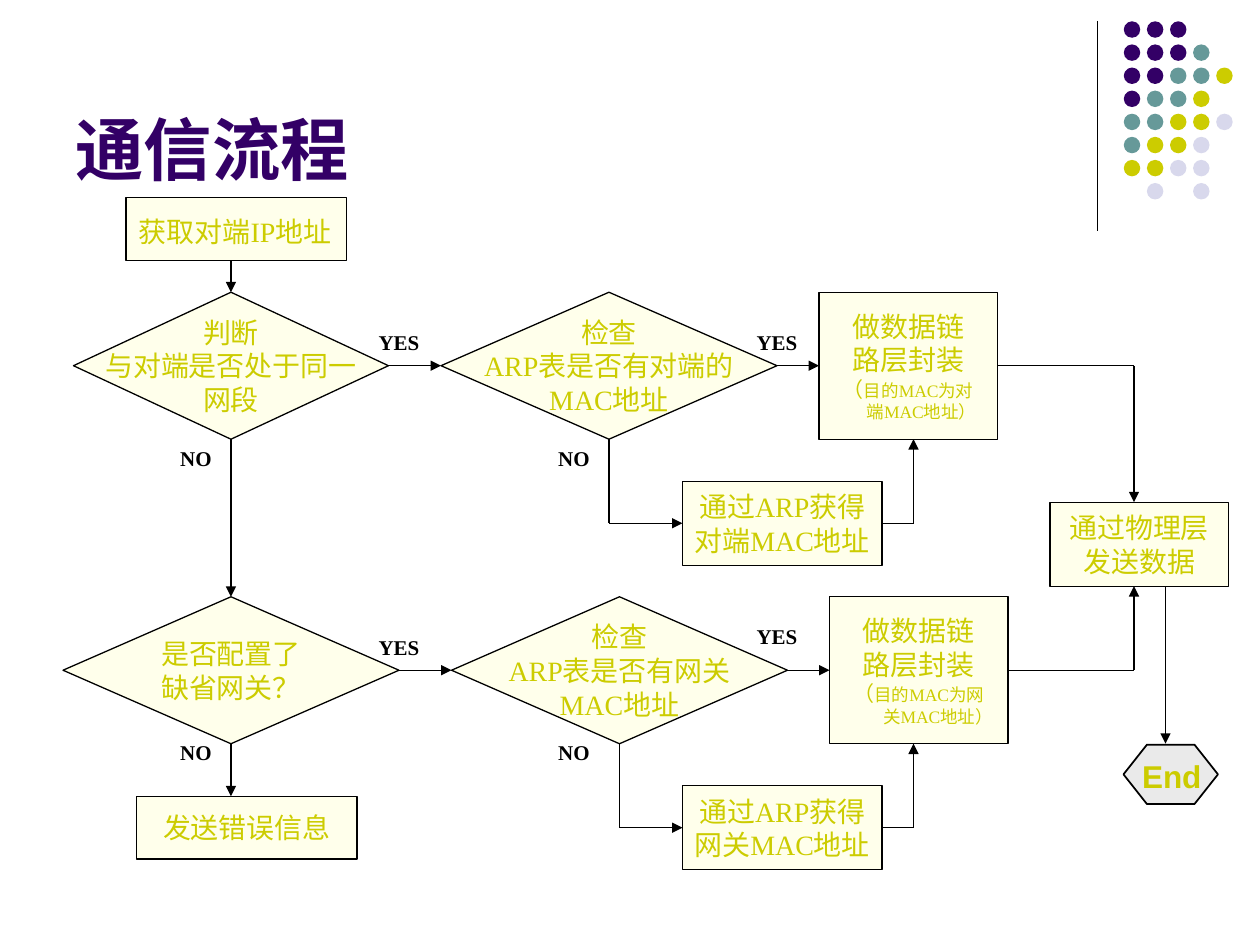
from pptx import Presentation
from pptx.dml.color import RGBColor
from pptx.enum.shapes import MSO_CONNECTOR, MSO_SHAPE as SHAPE
from pptx.enum.text import MSO_ANCHOR as ANCHOR, MSO_AUTO_SIZE as AUTO, PP_ALIGN as ALIGN
from pptx.oxml.ns import qn
from pptx.util import Pt
from lxml.etree import SubElement

COLORS = {"purple": "330066", "teal": "669999", "olive": "CCCC00", "lilac": "D8D8EC",
          "cream": "FFFFEB", "gray": "EAEAEA", "black": "000000"}
SERIF, SANS = "Times New Roman", "Arial"
TITLE = "通信流程"

DOT_ROWS = ["PPP", "PPPT", "PPTTY", "PTTY", "TTYYL", "TYYL", "YYLL", " L L"]
DOT_COLORS = {"P": "purple", "T": "teal", "Y": "olive", "L": "lilac"}
DOT_LEFT, DOT_TOP, DOT_PITCH, DOT_SIZE = 642.2, 12.2, 13.2, 9.4

BOX, CHECK = SHAPE.RECTANGLE, SHAPE.FLOWCHART_DECISION
# name: shape, (left, top, width, height), lines
NODES = {
    "get_ip": (BOX, (72, 113, 126, 36), []),
    "same_net": (CHECK, (42, 167, 180, 84), ["判断", "与对端是否处于同一", "网段"]),
    "peer_known": (CHECK, (252, 167, 192, 84), ["检查", "ARP表是否有对端的", "MAC地址"]),
    "peer_frame": (BOX, (468, 167, 102, 84), ["做数据链", "路层封装"]),
    "peer_arp": (BOX, (390, 275, 114, 48), ["通过ARP获得", "对端MAC地址"]),
    "send": (BOX, (600, 287, 102, 48), ["通过物理层", "发送数据"]),
    "has_gateway": (CHECK, (36, 341, 192, 84), ["是否配置了", "缺省网关？"]),
    "gw_known": (CHECK, (258, 341, 192, 84), ["检查", "ARP表是否有网关", "MAC地址"]),
    "gw_frame": (BOX, (474, 341, 102, 84), ["做数据链", "路层封装"]),
    "gw_arp": (BOX, (390, 449, 114, 48), ["通过ARP获得", "网关MAC地址"]),
    "error": (BOX, (78, 455, 126, 36), ["发送错误信息"]),
}
# name: first line, second line, indent of the second line
NOTES = {"peer_frame": ("目的MAC为对", "端MAC地址）", 15),
         "gw_frame": ("目的MAC为网", "关MAC地址）", 22)}

TOP, LEFT, BOTTOM, RIGHT = range(4)
# each stop is (node, side) or (x, y); the last leg carries the arrowhead
PATHS = [
    [(132, 149), ("same_net", TOP)],
    [("same_net", RIGHT), ("peer_known", LEFT)],
    [("peer_known", RIGHT), ("peer_frame", LEFT)],
    [("same_net", BOTTOM), ("has_gateway", TOP)],
    [("peer_known", BOTTOM), (348, 299), ("peer_arp", LEFT)],
    [("peer_arp", RIGHT), (522, 299), (522, 251)],
    [("peer_frame", RIGHT), (648, 209), (648, 287)],
    [("has_gateway", RIGHT), ("gw_known", LEFT)],
    [("gw_known", RIGHT), ("gw_frame", LEFT)],
    [("has_gateway", BOTTOM), (132, 455)],
    [("gw_known", BOTTOM), (354, 473), ("gw_arp", LEFT)],
    [("gw_arp", RIGHT), (522, 473), (522, 425)],
    [("gw_frame", RIGHT), (648, 383), (648, 335)],
    [(666, 335), (666, 425)],
]
# text, centre x, top
ANSWERS = [("YES", 228, 185), ("YES", 444, 185), ("NO", 112, 251), ("NO", 328, 251),
           ("YES", 228, 359), ("YES", 444, 353), ("NO", 112, 419), ("NO", 328, 419)]
ANSWER_WIDTHS = {"YES": 42, "NO": 34}

BODY = {"size": Pt(16), "name": SERIF}
LABEL = {"size": Pt(12), "name": SERIF, "bold": True}
END = {"size": Pt(18), "name": SANS, "bold": True}
HEAD = {"size": Pt(39), "name": SANS, "bold": True}


def rgb(name):
    return RGBColor.from_string(COLORS[name])


def add_run(p, text, fmt, color):
    r = p.add_run()
    r.text = text
    for key, value in fmt.items():
        setattr(r.font, key, value)
    r.font.color.rgb = rgb(color)


def add_line(tf, text, fmt, color, align=ALIGN.CENTER):
    """Write into the empty first paragraph, or into a new one."""
    p = tf.paragraphs[0] if not tf.paragraphs[0].runs else tf.add_paragraph()
    p.alignment = align
    add_run(p, text, fmt, color)
    return p


def add_shape(shapes, kind, box, fill, line=None):
    sp = shapes.add_shape(kind, *map(Pt, box))
    sp.shadow.inherit = False
    sp.fill.solid()
    sp.fill.fore_color.rgb = rgb(fill)
    if line:
        sp.line.color.rgb = rgb("black")
        sp.line.width = Pt(line)
    else:
        sp.line.fill.background()
    return sp


def add_label(shapes, text, box, fmt, color):
    tf = shapes.add_textbox(*map(Pt, box)).text_frame
    tf.word_wrap = False
    tf.auto_size = AUTO.SHAPE_TO_FIT_TEXT
    add_line(tf, text, fmt, color)
    return tf


def add_leg(shapes, start, end, arrow=False):
    cx = shapes.add_connector(MSO_CONNECTOR.STRAIGHT, *map(Pt, start + end))
    cx.line.color.rgb = rgb("black")
    cx.line.width = Pt(0.75)
    if arrow:
        SubElement(cx._element.spPr.find(qn("a:ln")), qn("a:tailEnd"), type="triangle")
    SubElement(cx._element.spPr, qn("a:effectLst"))
    return cx


def locate(stop):
    """Turn a (node, side) stop into the middle of that side."""
    if stop[0] not in NODES:
        return stop
    name, side = stop
    x, y, w, h = NODES[name][1]
    return {TOP: (x + w / 2, y), LEFT: (x, y + h / 2),
            BOTTOM: (x + w / 2, y + h), RIGHT: (x + w, y + h / 2)}[side]


def add_decoration(shapes):
    add_leg(shapes, (627, 12), (627, 132))
    dots = shapes.add_group_shape().shapes
    for row, marks in enumerate(DOT_ROWS):
        for col, mark in enumerate(marks):
            if mark in DOT_COLORS:
                box = (DOT_LEFT + col * DOT_PITCH, DOT_TOP + row * DOT_PITCH, DOT_SIZE, DOT_SIZE)
                add_shape(dots, SHAPE.OVAL, box, DOT_COLORS[mark])


def add_node(shapes, name):
    kind, box, lines = NODES[name]
    sp = add_shape(shapes, kind, box, "cream", 0.75)
    tf = sp.text_frame
    tf.word_wrap = False
    tf.vertical_anchor = ANCHOR.MIDDLE
    for text in lines:
        add_line(tf, text, BODY, "olive")
    if name in NOTES:
        first, second, indent = NOTES[name]
        small = {**BODY, "size": Pt(10)}
        p = add_line(tf, "（", {**BODY, "size": Pt(12)}, "olive")
        add_run(p, first, small, "olive")
        p = add_line(tf, second, small, "olive")
        p._p.get_or_add_pPr().set("marL", str(Pt(indent)))
    return sp


def add_path(shapes, stops, nodes):
    for i, (start, end) in enumerate(zip(stops, stops[1:])):
        cx = add_leg(shapes, locate(start), locate(end), arrow=i == len(stops) - 2)
        if start[0] in nodes:
            cx.begin_connect(nodes[start[0]], start[1])
        if end[0] in nodes:
            cx.end_connect(nodes[end[0]], end[1])


def main():
    prs = Presentation()
    prs.slide_width, prs.slide_height = Pt(720), Pt(540)
    s = prs.slides.add_slide(prs.slide_layouts[5])
    shapes = s.shapes

    title = shapes.title
    title.left, title.top, title.width, title.height = map(Pt, (36, 9.6, 594, 102))
    title.text_frame.vertical_anchor = ANCHOR.BOTTOM
    title.text_frame.auto_size = AUTO.NONE
    add_line(title.text_frame, TITLE, HEAD, "purple", ALIGN.LEFT)

    add_decoration(shapes)
    nodes = {name: add_node(shapes, name) for name in NODES}
    for stops in PATHS:
        add_path(shapes, stops, nodes)

    for text, center, top in ANSWERS:
        w = ANSWER_WIDTHS[text]
        add_label(shapes, text, (center - w / 2, top, w, 21.6), LABEL, "black")
    add_label(shapes, "获取对端IP地址", (68.4, 118.8, 132, 26.6), BODY, "olive")

    add_shape(shapes, SHAPE.HEXAGON, (642, 425.5, 54, 34), "gray", 1).adjustments[0] = 0.395
    tf = add_label(shapes, "End", (650.9, 430.6, 37.4, 32.4), END, "olive")
    tf.auto_size = AUTO.NONE
    tf.margin_left = tf.margin_right = Pt(1.4)
    tf.margin_top = tf.margin_bottom = Pt(2.2)
    tf.paragraphs[0].line_spacing = Pt(21.4)

    prs.save("out.pptx")


if __name__ == "__main__":
    main()
